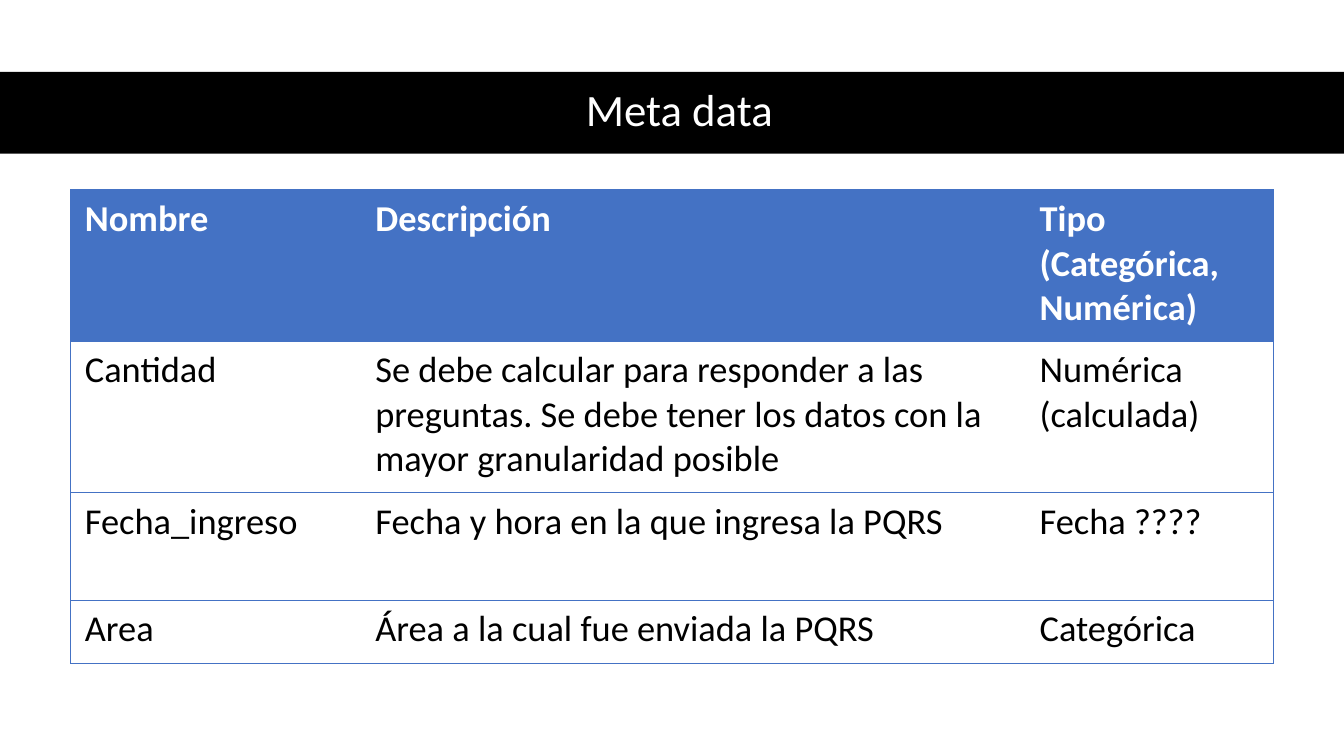
from dataclasses import dataclass

import lxml.etree
import pptx
import pptx.dml.color
import pptx.enum.shapes
import pptx.enum.text
import pptx.oxml.ns
import pptx.presentation
import pptx.slide
import pptx.table
import pptx.util

Cm = pptx.util.Cm
Pt = pptx.util.Pt
RGBColor = pptx.dml.color.RGBColor
qn = pptx.oxml.ns.qn

BLACK = RGBColor(0x00, 0x00, 0x00)
WHITE = RGBColor(0xFF, 0xFF, 0xFF)
BLUE = RGBColor(0x44, 0x72, 0xC4)

FONT = "Calibri"
PLAIN_TABLE_STYLE = "{2D5ABB26-0587-4C30-8999-92F81FD0307C}"
COLUMN_WIDTHS = (7.32, 16.74, 6.25)


@dataclass(frozen=True)
class Row:
    height: float
    texts: tuple[str, str, str]
    is_header: bool = False


ROWS = (
    Row(3.81, ("Nombre", "Descripción", "Tipo (Categórica, Numérica)"), is_header=True),
    Row(
        3.81,
        (
            "Cantidad",
            "Se debe calcular para responder a las preguntas. "
            "Se debe tener los datos con la mayor granularidad posible",
            "Numérica (calculada)",
        ),
    ),
    Row(2.72, ("Fecha_ingreso", "Fecha y hora en la que ingresa la PQRS", "Fecha ????")),
    Row(1.6, ("Area", "Área a la cual fue enviada la PQRS", "Categórica")),
)


def style_font(font: pptx.text.text.Font, size: float, color: RGBColor, bold: bool = False) -> None:
    font.name = FONT
    font.size = Pt(size)
    font.bold = bold
    font.color.rgb = color


def add_title(page: pptx.slide.Slide, width: int) -> None:
    """Draw the black band across the page and the centred title on it."""
    band = page.shapes.add_shape(
        pptx.enum.shapes.MSO_SHAPE.RECTANGLE, 0, Cm(1.81), width, Cm(2.06)
    )
    band.shadow.inherit = False
    band.fill.solid()
    band.fill.fore_color.rgb = BLACK
    band.line.fill.background()

    box = page.shapes.add_textbox(Cm(1.55), Cm(1.78), Cm(31.14), Cm(2.06))
    frame = box.text_frame
    frame.word_wrap = True
    frame.vertical_anchor = pptx.enum.text.MSO_ANCHOR.MIDDLE
    frame.text = "Meta data"
    para = frame.paragraphs[0]
    para.alignment = pptx.enum.text.PP_ALIGN.CENTER
    para.line_spacing = 0.9
    style_font(para.runs[0].font, 32, WHITE)


def set_borders(cell: pptx.table._Cell, sides: str) -> None:
    """Rule the given sides (letters of LRTB); the lines must precede the cell fill."""
    properties = cell._tc.get_or_add_tcPr()
    for position, side in enumerate(sides):
        line = lxml.etree.Element(qn(f"a:ln{side}"), w=str(Pt(0.5)))
        fill = lxml.etree.SubElement(line, qn("a:solidFill"))
        lxml.etree.SubElement(fill, qn("a:srgbClr"), val=str(BLUE))
        properties.insert(position, line)


def fill_cell(cell: pptx.table._Cell, text: str, is_header: bool) -> None:
    cell.margin_left = cell.margin_right = Cm(0.36)
    cell.margin_top = cell.margin_bottom = Cm(0.18)
    cell.fill.solid()
    cell.fill.fore_color.rgb = BLUE if is_header else WHITE
    cell.text_frame.text = text
    color = WHITE if is_header else BLACK
    style_font(cell.text_frame.paragraphs[0].runs[0].font, 26, color, is_header)


def add_variable_table(page: pptx.slide.Slide) -> None:
    frame = page.shapes.add_table(
        len(ROWS),
        len(COLUMN_WIDTHS),
        Cm(1.78),
        Cm(4.78),
        Cm(sum(COLUMN_WIDTHS)),
        Cm(sum(row.height for row in ROWS)),
    )
    table = frame.table
    table.horz_banding = False
    table._tbl.tblPr.find(qn("a:tableStyleId")).text = PLAIN_TABLE_STYLE
    for column, width in zip(table.columns, COLUMN_WIDTHS):
        column.width = Cm(width)
    last_column = len(COLUMN_WIDTHS) - 1
    for row_index, row in enumerate(ROWS):
        table.rows[row_index].height = Cm(row.height)
        for column_index, text in enumerate(row.texts):
            cell = table.cell(row_index, column_index)
            fill_cell(cell, text, row.is_header)
            outer_sides = {0: "L", last_column: "R"}.get(column_index, "")
            set_borders(cell, outer_sides + "TB")


def main() -> None:
    deck = pptx.Presentation()
    deck.slide_width = Cm(33.87)
    deck.slide_height = Cm(19.05)
    page = deck.slides.add_slide(deck.slide_layouts[6])
    add_title(page, deck.slide_width)
    add_variable_table(page)
    deck.save("out.pptx")


if __name__ == "__main__":
    main()
